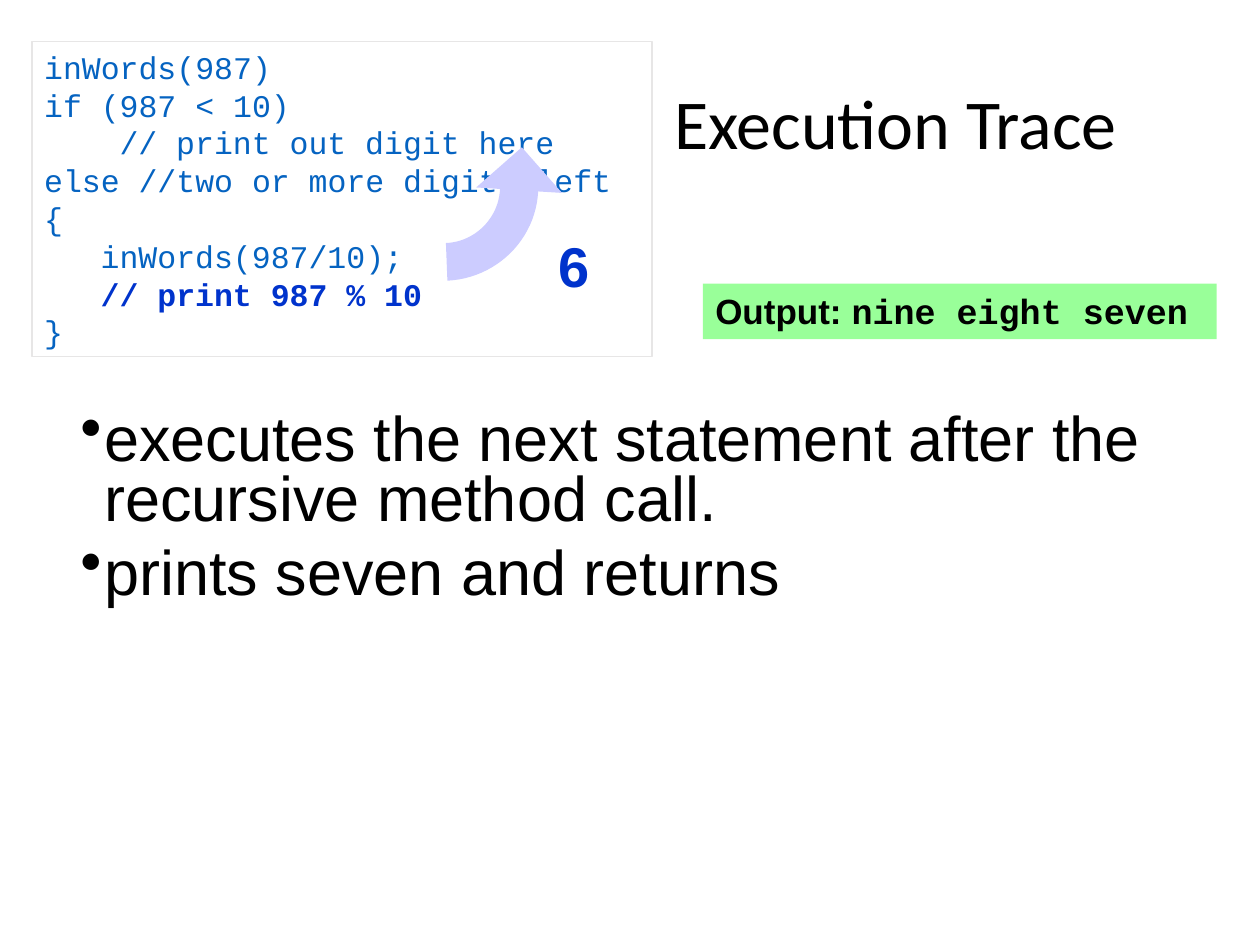
"""Build the "Execution Trace" slide for the recursive inWords method."""
from dataclasses import dataclass
from typing import Optional

from lxml.etree import SubElement
from pptx import Presentation
from pptx.dml.color import RGBColor as RGB
from pptx.enum.shapes import MSO_SHAPE as Shape
from pptx.enum.text import MSO_ANCHOR as Anchor, MSO_AUTO_SIZE as AutoSize, PP_ALIGN as Align
from pptx.oxml.ns import qn
from pptx.util import Cm, Pt


@dataclass(frozen=True)
class Theme:
    sans: str = "Arial"
    mono: str = "Courier New"
    heading: str = "Calibri"
    ink: str = "000000"
    code: str = "0563C1"
    accent: str = "0033CC"
    paper: str = "FFFFFF"
    border: str = "E7E6E6"
    output: str = "99FF99"
    arrow: str = "CCCCFF"
    code_size: int = 18
    output_size: int = 20
    step_size: int = 32
    body_size: int = 36
    title_size: int = 40


@dataclass(frozen=True)
class Run:
    text: str
    font: str
    size: int
    color: str
    bold: bool = False


@dataclass(frozen=True)
class Para:
    runs: tuple[Run, ...]
    before: float = 0
    spacing: float = 1.0
    margin: float = 0
    bullet: bool = False


@dataclass(frozen=True)
class Box:
    left: float
    top: float
    width: float
    height: float
    paras: tuple[Para, ...]
    fill: Optional[str] = None
    line: Optional[str] = None
    anchor: Anchor = Anchor.TOP
    grow: bool = False


T = Theme()
CODE_CHAR = 0.38
BULLET_INDENT = 0.48


def code_line(text: str, indent: int = 0, active: bool = False) -> Para:
    """Return one line of code, indented by a number of characters."""
    run = Run(text, T.mono, T.code_size, T.accent if active else T.code, active)
    return Para((run,), margin=indent * CODE_CHAR)


def bullet_item(text: str) -> Para:
    """Return one bulleted body paragraph."""
    run = Run(text, T.sans, T.body_size, T.ink)
    return Para((run,), 7.5, 0.8, BULLET_INDENT, True)


OUTPUT = Box(14.17, 5.72, 10.36, 1.12, (Para((
    Run("Output: ", T.sans, T.output_size, T.ink, True),
    Run("nine eight seven", T.mono, T.output_size, T.ink, True),
), before=12.5),), fill=T.output, grow=True)
TITLE = Box(13.34, 1.07, 11, 2.97, (
    Para((Run("Execution Trace", T.heading, T.title_size, T.ink),), spacing=0.9),
), fill=T.paper, anchor=Anchor.MIDDLE)
BODY = Box(1.37, 8.2, 22.12, 4.29, (
    bullet_item("executes the next statement after the recursive method call."),
    bullet_item("prints seven and returns"),
))
CODE = Box(0.64, 0.84, 12.5, 6.35, (
    code_line("inWords(987)"),
    code_line("if (987 < 10)"),
    code_line("// print out digit here", 4),
    code_line("else //two or more digits left"),
    code_line("{"),
    code_line("inWords(987/10);", 3),
    code_line("// print 987 % 10", 3, True),
    code_line("}"),
), fill=T.paper, line=T.border, grow=True)
STEP = Box(11, 4.55, 1.27, 1.63, (
    Para((Run("6", T.sans, T.step_size, T.accent, True),), before=20),
), grow=True)

Point = tuple[float, float]
INNER_CURVE: tuple[Point, ...] = ((10.08, 3.81), (10.06, 4.39), (9.58, 4.88), (8.99, 4.9))
OUTER_CURVE: tuple[Point, ...] = ((9.02, 5.66), (10.01, 5.61), (10.8, 4.83), (10.85, 3.86))
ARROW_HEAD: tuple[Point, ...] = ((11.33, 3.89), (10.52, 2.97), (9.6, 3.78))


def add_para(p, para: Para) -> None:
    """Format a paragraph and add its runs."""
    p.alignment = Align.LEFT
    p.space_before = Pt(para.before)
    p.line_spacing = para.spacing
    pPr = p._p.get_or_add_pPr()
    if para.margin:
        pPr.set("marL", str(Cm(para.margin)))
    if para.bullet:
        pPr.set("indent", str(-Cm(para.margin)))
        SubElement(SubElement(pPr, qn("a:buClr")), qn("a:srgbClr"), val=T.ink)
        SubElement(pPr, qn("a:buChar"), char="•")
    for run in para.runs:
        r = p.add_run()
        r.text = run.text
        r.font.name = run.font
        r.font.size = Pt(run.size)
        r.font.bold = run.bold
        r.font.color.rgb = RGB.from_string(run.color)


def add_box(s, box: Box) -> None:
    """Draw a text box, or a rectangle when the box has a fill."""
    place = [Cm(v) for v in (box.left, box.top, box.width, box.height)]
    if box.fill:
        sp = s.shapes.add_shape(Shape.RECTANGLE, *place)
        sp.shadow.inherit = False
        sp.fill.solid()
        sp.fill.fore_color.rgb = RGB.from_string(box.fill)
        if box.line:
            sp.line.color.rgb = RGB.from_string(box.line)
            sp.line.width = Pt(1)
        else:
            sp.line.fill.background()
    else:
        sp = s.shapes.add_textbox(*place)
    tf = sp.text_frame
    tf.word_wrap = True
    tf.vertical_anchor = box.anchor
    tf.auto_size = AutoSize.SHAPE_TO_FIT_TEXT if box.grow else AutoSize.NONE
    for i, para in enumerate(box.paras):
        add_para(tf.add_paragraph() if i else tf.paragraphs[0], para)


def curve_points(curve: tuple[Point, ...], steps: int = 24) -> list[Point]:
    """Return points along a cubic Bézier curve."""
    weights = [((1 - t) ** 3, 3 * t * (1 - t) ** 2, 3 * t * t * (1 - t), t ** 3)
               for t in (i / steps for i in range(steps + 1))]
    return [(sum(w * x for w, (x, _) in zip(ws, curve)),
             sum(w * y for w, (_, y) in zip(ws, curve))) for ws in weights]


def add_return_arrow(s) -> None:
    """Draw the curved arrow back to the caller."""
    outline = [*curve_points(INNER_CURVE), *curve_points(OUTER_CURVE), *ARROW_HEAD]
    start, *rest = [(Cm(x), Cm(y)) for x, y in outline]
    builder = s.shapes.build_freeform(*start)
    builder.add_line_segments(rest, close=True)
    sp = builder.convert_to_shape()
    sp.shadow.inherit = False
    sp.fill.solid()
    sp.fill.fore_color.rgb = RGB.from_string(T.arrow)
    sp.line.fill.background()


def main() -> None:
    """Create and save the presentation."""
    prs = Presentation()
    prs.slide_width, prs.slide_height = Cm(25.4), Cm(19.05)
    s = prs.slides.add_slide(prs.slide_layouts[6])
    for box in (OUTPUT, TITLE, BODY, CODE):
        add_box(s, box)
    add_return_arrow(s)
    add_box(s, STEP)
    prs.save("out.pptx")


if __name__ == "__main__":
    main()
